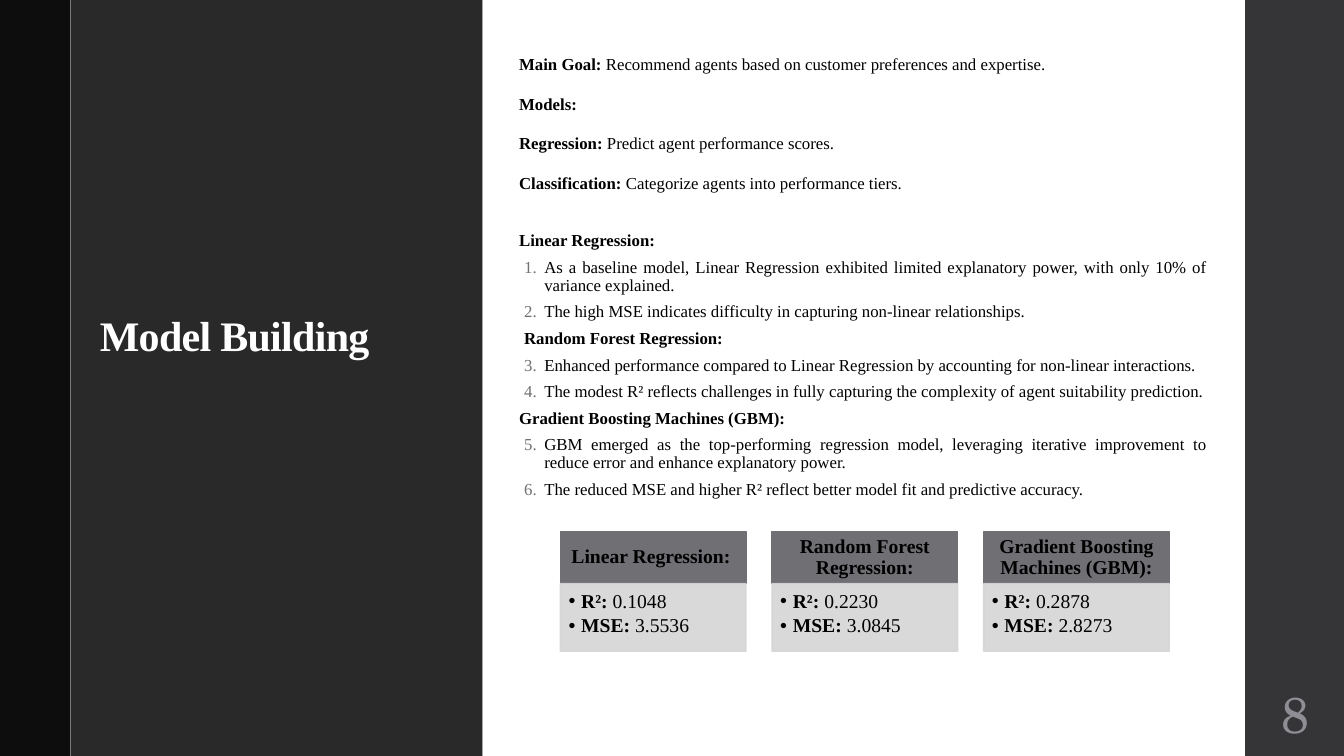
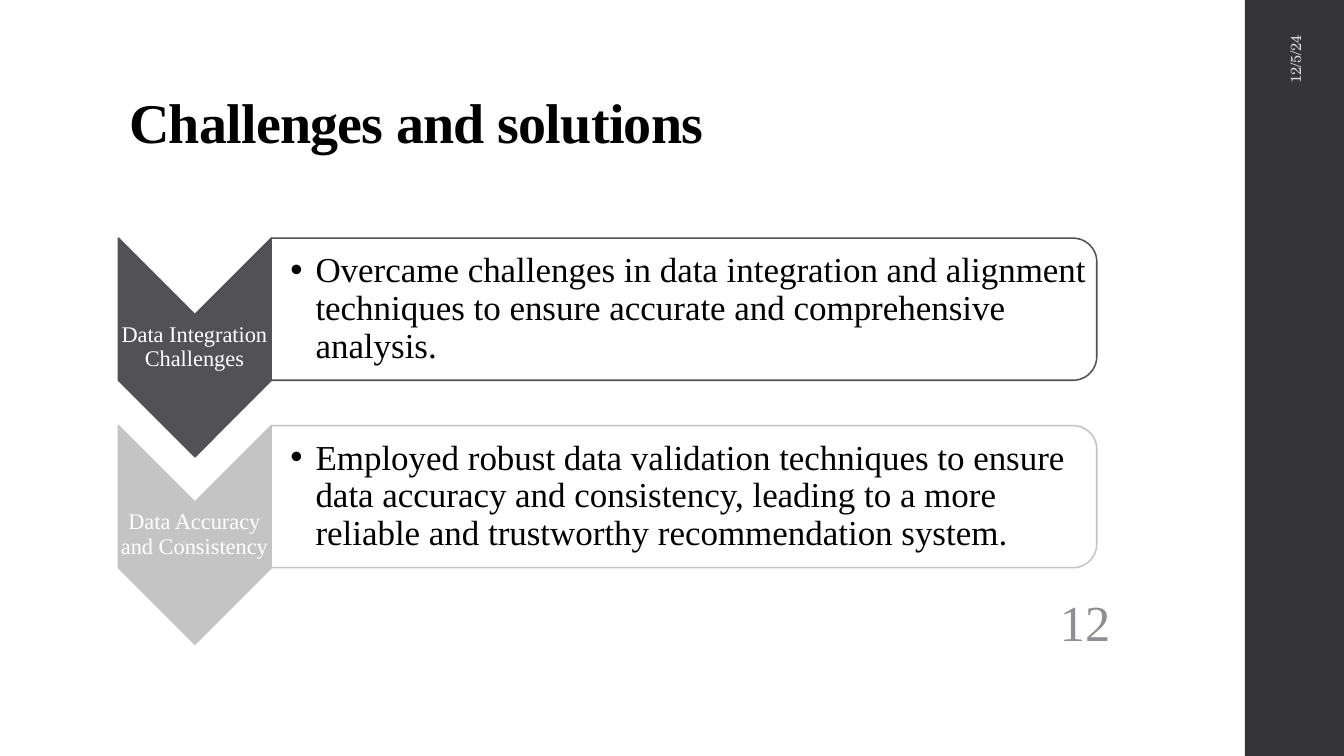
from lxml import etree
from pptx import Presentation
from pptx import util as u
from pptx.dml.color import RGBColor
from pptx.enum import shapes, text
from pptx.oxml import ns

SHAPE = shapes.MSO_SHAPE
ALIGN = text.PP_ALIGN
ANCHOR = text.MSO_ANCHOR

SERIF = "Times New Roman"
SCHOOL = "TeX Gyre Schola"
BLACK, WHITE = "000000", "FFFFFF"
BAND, EDGE, PANEL = "353537", "0D0D0D", "292929"
GRAY, PALE, NUMBER, DATE = "6F6F74", "D5D5D6", "8E8E94", "D9D9DB"
DEFAULT_INSETS = (7.2, 3.6, 7.2, 3.6)


def color(hex_string):
    return RGBColor.from_string(hex_string)


def sub(parent, tag, **attributes):
    return etree.SubElement(parent, ns.qn(tag), attributes)


class Deck:
    """Holds the shared style and the slide being built."""

    def __init__(self):
        self.deck = Presentation()
        self.deck.slide_width, self.deck.slide_height = u.Pt(960), u.Pt(540)
        self.page = None

    def new_page(self, layout):
        self.page = self.deck.slides.add_slide(self.deck.slide_layouts[layout])
        self.box(889.2, 0, 70.8, 540, BAND)

    # Shapes
    def box(self, x, y, w, h, fill, line=None, kind=SHAPE.RECTANGLE,
            turn=0, opacity=100, line_opacity=100):
        """Place a shape; x, y, w, h describe how it looks after a quarter turn."""
        if turn:
            x, y, w, h = x + (w - h) / 2, y + (h - w) / 2, h, w
        shape = self.page.shapes.add_shape(kind, u.Pt(x), u.Pt(y), u.Pt(w), u.Pt(h))
        shape.rotation = turn
        shape.shadow.inherit = False
        shape.fill.solid()
        shape.fill.fore_color.rgb = color(fill)
        if line:
            shape.line.color.rgb = color(line)
            shape.line.width = u.Pt(1.1)
        else:
            shape.line.fill.background()
        for tag, percent in (("a:solidFill", opacity), ("a:ln", line_opacity)):
            if percent < 100:
                part = shape.element.spPr.find(ns.qn(tag))
                for tone in part.iter(ns.qn("a:srgbClr")):
                    sub(tone, "a:alpha", val=str(percent * 1000))
        return shape

    # Text
    def frame(self, shape, anchor=ANCHOR.TOP, insets=DEFAULT_INSETS):
        frame = shape.text_frame
        frame.word_wrap = True
        frame.auto_size = text.MSO_AUTO_SIZE.NONE
        frame.vertical_anchor = anchor
        (frame.margin_left, frame.margin_top,
         frame.margin_right, frame.margin_bottom) = map(u.Pt, insets)
        return frame

    def text_box(self, x, y, w, h, anchor=ANCHOR.MIDDLE, insets=DEFAULT_INSETS, turn=0):
        box = self.page.shapes.add_textbox(u.Pt(x), u.Pt(y), u.Pt(w), u.Pt(h))
        box.rotation = turn
        return self.frame(box, anchor, insets)

    def placeholder(self, shape, x, y, w, h, anchor=ANCHOR.TOP):
        shape.left, shape.top, shape.width, shape.height = map(u.Pt, (x, y, w, h))
        shape.element.getparent().append(shape.element)  # bring to the front
        return self.frame(shape, anchor)

    def para(self, frame, runs, size, tone=BLACK, font=SERIF, align=ALIGN.LEFT, line=0.9,
             before=0, after=0, indent=0, hang=0, bullet=None, start=None, spacing=None):
        """Add a paragraph; runs is a list of (words, bold)."""
        first = frame.paragraphs[0]
        para = frame.add_paragraph() if first.runs else first
        props = para._p.get_or_add_pPr()
        props.set("marL", str(u.Pt(indent)))
        props.set("indent", str(u.Pt(-hang)))
        if start:
            para.level = 1
            sub(sub(props, "a:buClr"), "a:srgbClr", val=GRAY)
            sub(props, "a:buFont", typeface="+mj-lt")
            sub(props, "a:buAutoNum", type="arabicPeriod", startAt=str(start))
        elif bullet:
            sub(props, "a:buFont", typeface="Arial")
            sub(props, "a:buChar", char=bullet)
        else:
            sub(props, "a:buNone")
        para.alignment, para.line_spacing = align, line
        para.space_before, para.space_after = u.Pt(before), u.Pt(after)
        for words, bold in runs:
            span = para.add_run()
            span.text = words
            span.font.name, span.font.size, span.font.bold = font, u.Pt(size), bold
            span.font.color.rgb = color(tone)
            if spacing:
                span.font._element.set("spc", str(int(spacing * 100)))

    def title(self, words, x, y, w, h, size, tone, anchor):
        frame = self.placeholder(self.page.shapes.title, x, y, w, h, anchor)
        self.para(frame, [(words, True)], size, tone, spacing=-0.5)

    def page_number(self, number, x, y, w, h, font):
        frame = self.text_box(x, y, w, h, insets=(3.6,) * 4)
        self.para(frame, [(number, False)], 36, NUMBER, font, ALIGN.CENTER, line=1)

    # Composite elements
    def score_card(self, x, heading, scores, align):
        head = self.box(x, 379.5, 132.5, 37.4, GRAY, GRAY)
        self.para(self.frame(head, ANCHOR.MIDDLE, (7.9, 4.3, 7.9, 4.3)),
                  [(heading, True)], 14, align=align)
        body = self.box(x, 416.9, 132.5, 48.3, PALE, PALE, opacity=90, line_opacity=90)
        frame = self.frame(body, insets=(5.8, 5.8, 7.9, 8.6))
        for name, value in zip(("R²:", "MSE:"), scores):
            self.para(frame, [(name, True), (" " + value, False)], 14,
                      after=2.1, indent=9, hang=9, bullet="•")

    def chevron_row(self, y, tone, label, words):
        self.box(84.5, y, 109.4, 156.2, tone, tone, SHAPE.CHEVRON, turn=90)
        frame = self.text_box(84.2, y + 54.5, 109.4, 46.8, insets=(0.7,) * 4)
        self.para(frame, [(label, False)], 16, WHITE, align=ALIGN.CENTER)
        self.box(193.7, y, 589.7, 101.5, WHITE, tone,
                 SHAPE.ROUND_2_SAME_RECTANGLE, turn=90, opacity=90)
        frame = self.text_box(193.7, y + 5, 584.6, 91.4, insets=(13.7, 1.4, 1.4, 1.4))
        self.para(frame, [(words, False)], 25, indent=18, hang=18, bullet="•")


GOALS = [
    ("Main Goal:", " Recommend agents based on customer preferences and expertise."),
    ("Models:", ""),
    ("Regression:", " Predict agent performance scores."),
    ("Classification:", " Categorize agents into performance tiers."),
]
# Heading, its indent, the space before it, the numbered findings
FINDINGS = [
    ("Linear Regression:", 0, 28, [
        "As a baseline model, Linear Regression exhibited limited explanatory power, "
        "with only 10% of variance explained.",
        "The high MSE indicates difficulty in capturing non-linear relationships."]),
    ("Random Forest Regression:", 3.6, 0, [
        "Enhanced performance compared to Linear Regression by accounting for "
        "non-linear interactions.",
        "The modest R² reflects challenges in fully capturing the complexity of agent "
        "suitability prediction."]),
    ("Gradient Boosting Machines (GBM):", 0, 0, [
        "GBM emerged as the top-performing regression model, leveraging iterative "
        "improvement to reduce error and enhance explanatory power.",
        "The reduced MSE and higher R² reflect better model fit and predictive accuracy."]),
]
SCORES = [
    (("0.1048", "3.5536"), ALIGN.LEFT),
    (("0.2230", "3.0845"), ALIGN.CENTER),
    (("0.2878", "2.8273"), ALIGN.CENTER),
]
CHALLENGES = [
    ("525256", "Data Integration Challenges",
     "Overcame challenges in data integration and alignment techniques to ensure "
     "accurate and comprehensive analysis."),
    ("C4C4C5", "Data Accuracy and Consistency",
     "Employed robust data validation techniques to ensure data accuracy and "
     "consistency, leading to a more reliable and trustworthy recommendation system."),
]


def model_building(deck):
    deck.new_page(1)
    deck.box(0, 0, 50.4, 540, EDGE)
    deck.box(50.4, 0, 294.4, 540, PANEL)
    deck.title("Model Building", 64.1, 221.8, 267.8, 241.2, 30, WHITE, ANCHOR.TOP)
    deck.box(344.8, 0, 544.4, 540, WHITE)

    # Goals, then numbered findings per model
    frame = deck.placeholder(deck.page.placeholders[1], 363.6, 34.6, 506.2, 306.7)
    for index, (term, words) in enumerate(GOALS):
        runs = [(term, True)] + ([(words, False)] if words else [])
        deck.para(frame, runs, 12, line=1, before=14 if index else 0)
    start = 1
    for heading, indent, before, items in FINDINGS:
        deck.para(frame, [(heading, True)], 12, align=ALIGN.JUSTIFY,
                  before=before, after=6, indent=indent)
        for item in items:
            deck.para(frame, [(item, False)], 12, align=ALIGN.JUSTIFY,
                      after=6, indent=18, hang=14.4, start=start)
        start += len(items)

    # Score cards
    for index, (finding, (scores, align)) in enumerate(zip(FINDINGS, SCORES)):
        deck.score_card(400.3 + index * 151.2, finding[0], scores, align)
    deck.page_number("8", 889.2, 486, 72, 46.8, SCHOOL)


def challenges(deck):
    deck.new_page(5)
    deck.title("Challenges and solutions", 85, 51.1, 763.2, 63.4, 40, BLACK, ANCHOR.BOTTOM)
    for index, challenge in enumerate(CHALLENGES):
        deck.chevron_row(170.1 + index * 133.9, *challenge)
    date = deck.text_box(850.3, 78.5, 149.8, 28.8, turn=270)
    deck.para(date, [("12/5/24", False)], 10.5, DATE, SCHOOL, ALIGN.RIGHT, line=1)
    deck.page_number("12", 716.4, 409.7, 117.4, 68.4, SERIF)


def main():
    deck = Deck()
    model_building(deck)
    challenges(deck)
    deck.deck.save("out.pptx")


if __name__ == "__main__":
    main()
